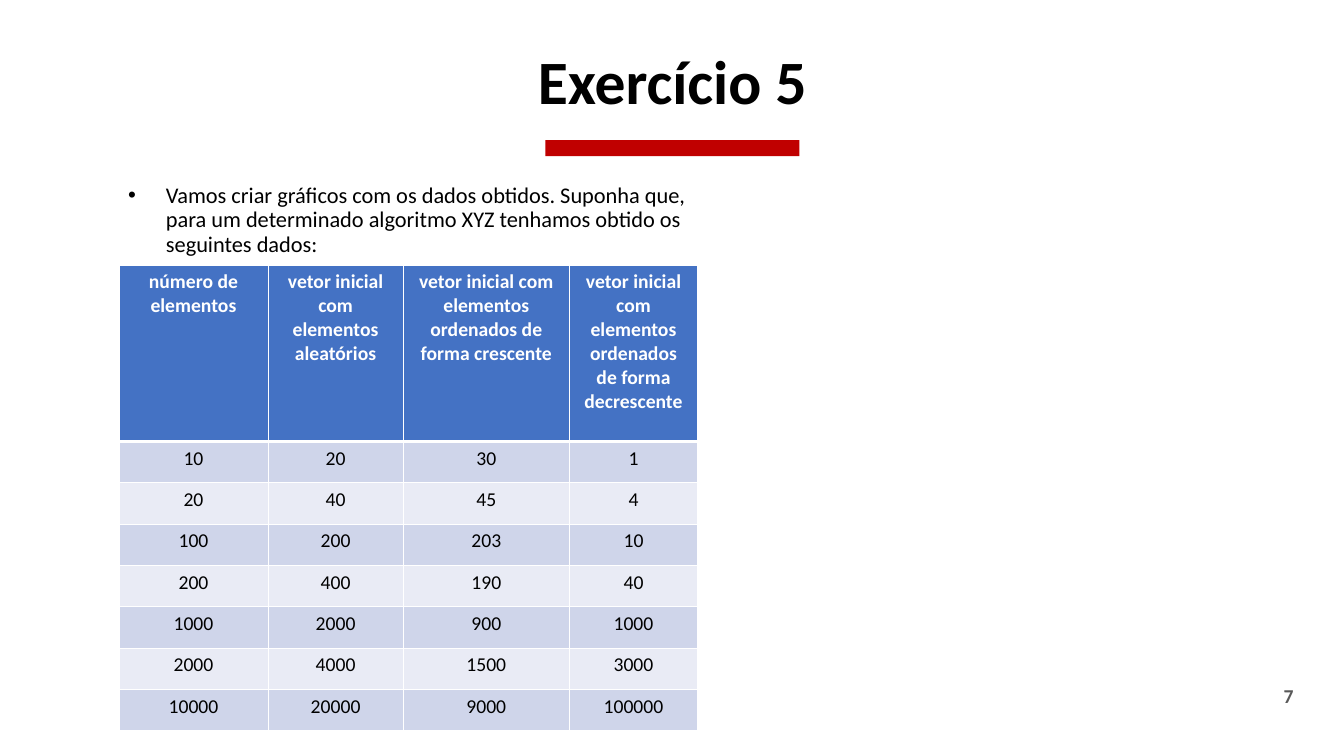
import pptx
import pptx.util
import pptx.dml.color
import pptx.enum.shapes
import pptx.enum.text
import pptx.oxml
import pptx.oxml.ns

Pt = pptx.util.Pt
RGB = pptx.dml.color.RGBColor
ALIGN = pptx.enum.text.PP_ALIGN
ANCHOR = pptx.enum.text.MSO_ANCHOR

SLIDE_W = pptx.util.Inches(13.33)
SLIDE_H = pptx.util.Inches(7.5)
BLACK = RGB(0, 0, 0)
WHITE = RGB(255, 255, 255)
GRAY = RGB(0x59, 0x59, 0x59)
RED = RGB(0xC0, 0, 0)
BLUE = RGB(0x44, 0x72, 0xC4)
BANDS = (RGB(0xCF, 0xD5, 0xEA), RGB(0xE9, 0xEB, 0xF5))

TITLE_FONT = dict(size=Pt(44), bold=True)
BODY_FONT = dict(size=Pt(16))
NUMBER_FONT = dict(size=Pt(14), bold=True)
HEADER_FONT = dict(size=Pt(14), bold=True)
CELL_FONT = dict(size=Pt(14), bold=False)

COL_SHARES = (11.1, 10.05, 12.38, 9.53)
HEADER_SHARE = 23.33
ROW_SHARE = 5.47
HEADERS = (
    "número de elementos",
    "vetor inicial com elementos aleatórios",
    "vetor inicial com elementos ordenados de forma crescente",
    "vetor inicial com elementos ordenados de forma decrescente",
)
DATA = (
    (10, 20, 30, 1),
    (20, 40, 45, 4),
    (100, 200, 203, 10),
    (200, 400, 190, 40),
    (1000, 2000, 900, 1000),
    (2000, 4000, 1500, 3000),
    (10000, 20000, 9000, 100000),
)


def across(percent):
    return round(SLIDE_W * percent / 100)


def down(percent):
    return round(SLIDE_H * percent / 100)


def box(left, top, width, height):
    return across(left), down(top), across(width), down(height)


def apply(obj, values):
    for name, value in values.items():
        setattr(obj, name, value)


def place(sp, area):
    apply(sp, dict(zip(("left", "top", "width", "height"), area)))


def write(tf, text, font, color, **paragraph):
    tf.text = text
    p = tf.paragraphs[0]
    apply(p, paragraph)
    r = p.runs[0]
    apply(r.font, dict(name="Calibri", **font))
    r.font.color.rgb = color


def frame(tf, anchor):
    apply(tf, dict(word_wrap=True, vertical_anchor=anchor,
                   auto_size=pptx.enum.text.MSO_AUTO_SIZE.NONE))


def add_title(s, text):
    sp = s.shapes.title
    place(sp, box(8.78, 6, 82.5, 10.27))
    frame(sp.text_frame, ANCHOR.BOTTOM)
    write(sp.text_frame, text, TITLE_FONT, BLACK,
          alignment=ALIGN.CENTER, line_spacing=0.9)


def add_body(s, text):
    sp = s.placeholders[1]
    place(sp, box(8.78, 23.73, 43.2, 10.27))
    tf = sp.text_frame
    frame(tf, ANCHOR.TOP)
    pPr = tf.paragraphs[0]._p.get_or_add_pPr()
    pPr.set("marL", "0")
    pPr.set("indent", "0")
    pPr.append(pptx.oxml.parse_xml(
        f"<a:buNone {pptx.oxml.ns.nsdecls('a')}/>"))
    write(tf, text, BODY_FONT, BLACK,
          alignment=ALIGN.LEFT, line_spacing=0.9, space_before=Pt(0))


def add_bar(s):
    sp = s.shapes.add_shape(pptx.enum.shapes.MSO_SHAPE.RECTANGLE,
                            *box(40.58, 18.53, 18.9, 2.13))
    sp.shadow.inherit = False
    sp.fill.solid()
    sp.fill.fore_color.rgb = RED
    sp.line.fill.background()


def add_number(s, text):
    sp = s.shapes.add_textbox(*box(74.49, 89.33, 22.5, 5.33))
    frame(sp.text_frame, ANCHOR.MIDDLE)
    write(sp.text_frame, text, NUMBER_FONT, GRAY, alignment=ALIGN.RIGHT)


def set_borders(cell, **points):
    tcPr = cell._tc.get_or_add_tcPr()
    for i, side in enumerate("LRTB"):
        width = Pt(points.get(side, 1))
        tcPr.insert(i, pptx.oxml.parse_xml(
            f'<a:ln{side} {pptx.oxml.ns.nsdecls("a")} w="{width}">'
            f'<a:solidFill><a:srgbClr val="{WHITE}"/></a:solidFill>'
            f'</a:ln{side}>'))


def fill_cell(cell, text, font, color, fill, **borders):
    write(cell.text_frame, text, font, color, alignment=ALIGN.CENTER)
    cell.fill.solid()
    cell.fill.fore_color.rgb = fill
    set_borders(cell, **borders)


def add_data_table(s):
    height = HEADER_SHARE + ROW_SHARE * len(DATA)
    table = s.shapes.add_table(
        len(DATA) + 1, len(HEADERS),
        *box(8.85, 35.07, sum(COL_SHARES), height)).table
    for column, share in zip(table.columns, COL_SHARES):
        column.width = across(share)
    for i, row in enumerate(table.rows):
        row.height = down(ROW_SHARE if i else HEADER_SHARE)
    for cell, text in zip(table.rows[0].cells, HEADERS):
        fill_cell(cell, text, HEADER_FONT, WHITE, BLUE, B=3)
    for i, values in enumerate(DATA):
        for cell, value in zip(table.rows[i + 1].cells, values):
            fill_cell(cell, str(value), CELL_FONT, BLACK, BANDS[i % 2],
                      T=1 if i else 3)


def main():
    prs = pptx.Presentation()
    apply(prs, dict(slide_width=SLIDE_W, slide_height=SLIDE_H))
    s = prs.slides.add_slide(prs.slide_layouts[1])
    add_bar(s)
    add_number(s, "7")
    add_title(s, "Exercício 5")
    add_body(s, "Vamos criar gráficos com os dados obtidos. Suponha que, "
                "para um determinado algoritmo XYZ tenhamos obtido os "
                "seguintes dados:")
    add_data_table(s)
    prs.save("out.pptx")


if __name__ == "__main__":
    main()
